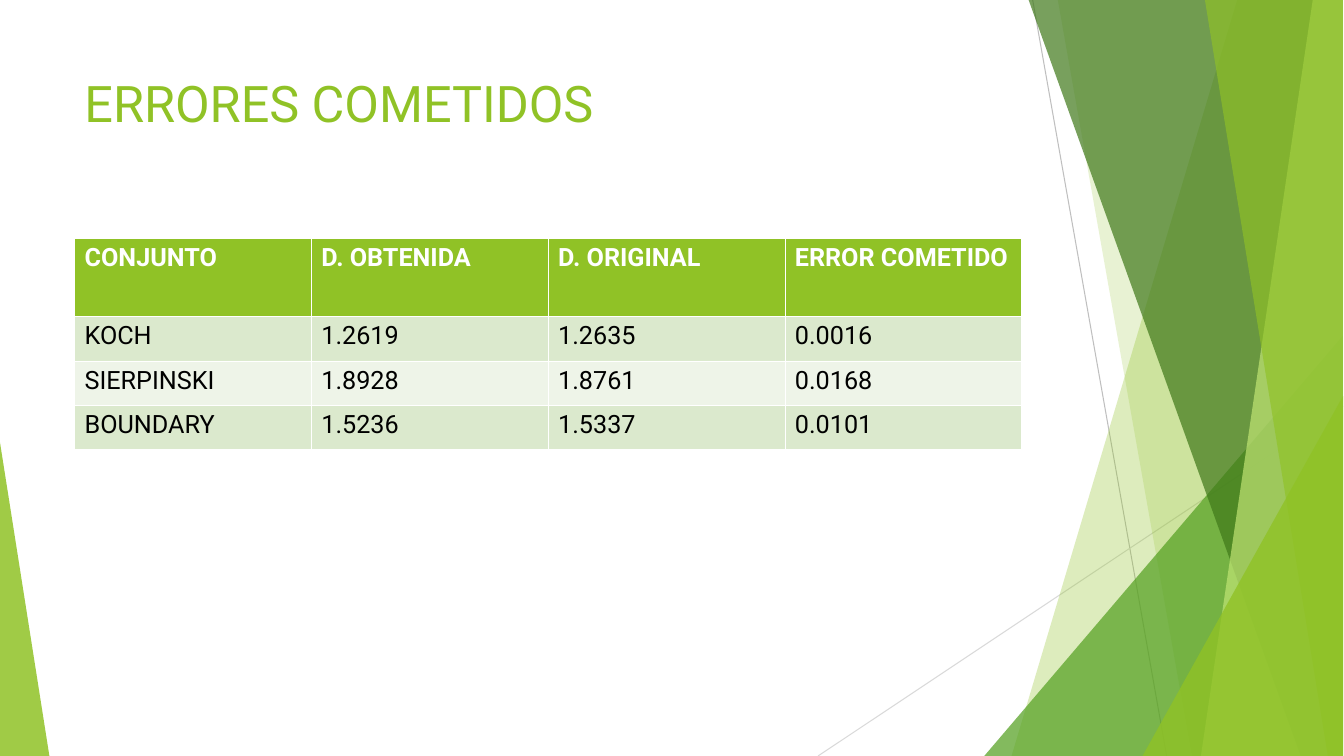
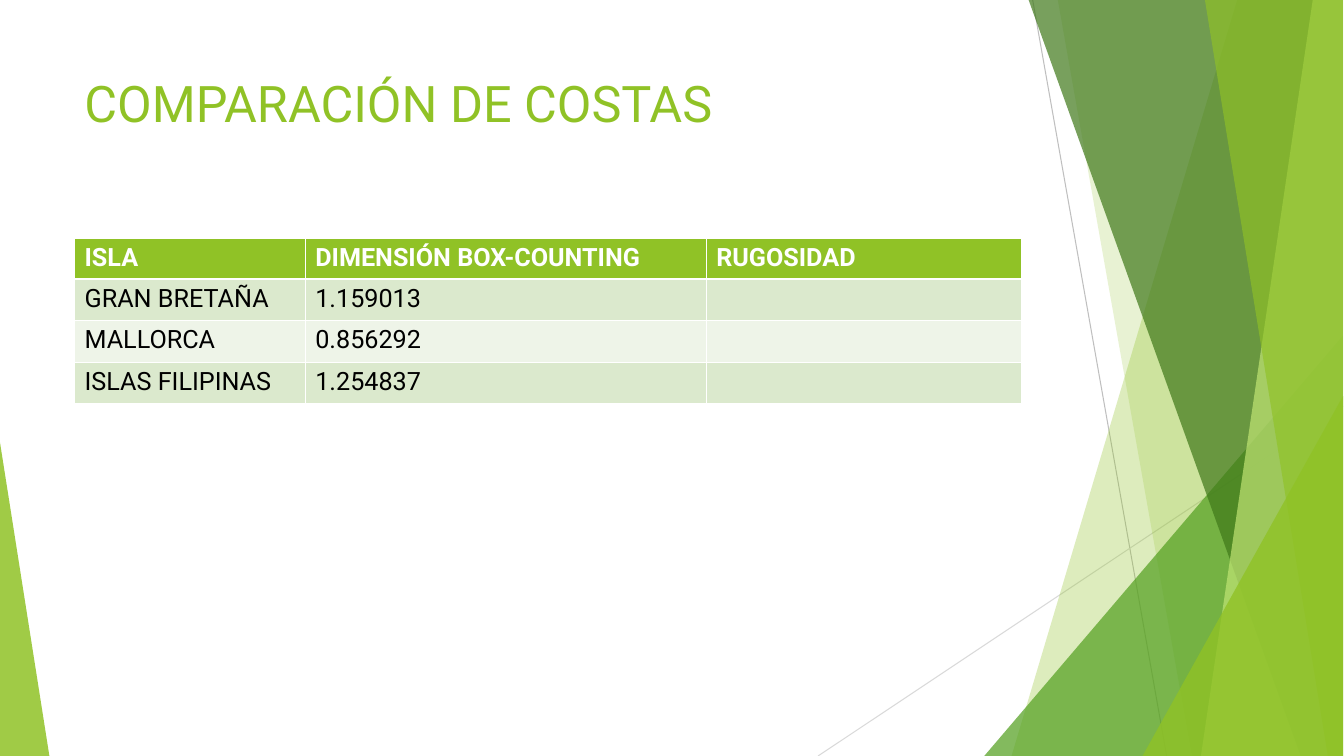
from dataclasses import dataclass

from pptx import Presentation
from pptx.dml.color import RGBColor
from pptx.enum.shapes import MSO_CONNECTOR, MSO_SHAPE
from pptx.oxml.ns import qn
from pptx.oxml.xmlchemy import OxmlElement
from pptx.util import Inches, Pt

STRAIGHT = MSO_CONNECTOR.STRAIGHT
TRIANGLE = MSO_SHAPE.ISOSCELES_TRIANGLE


@dataclass(frozen=True)
class Theme:
    font: str = "Roboto"
    title_size: int = 36
    table_size: int = 18
    green: str = "90C226"
    mid_green: str = "54A021"
    dark_green: str = "3F7819"
    light_green: str = "C0E474"
    odd_row: str = "DBE9CD"
    even_row: str = "EEF4E8"
    white: str = "FFFFFF"
    black: str = "000000"
    grid_line: float = 0.45
    header_line: float = 1.47


theme = Theme()

# Shared geometry, in inches
RIGHT, BOTTOM = 13.33, 7.5
LEFT, CONTENT_WIDTH = 0.74, 9.4
TITLE_TOP, TITLE_HEIGHT, TABLE_TOP = 0.67, 1.44, 2.36

# Thin lines: start, end, colour
THIN_LINES = [
    ((10.25, 0), (11.58, BOTTOM), "BFBFBF"),
    ((RIGHT, 4.03), (8.12, BOTTOM), "D9D9D9"),
]

# Facets from back to front. A band runs along the right edge and has a slanted
# left side (top x, bottom x); a triangle has a box and an apex position.
FACETS = [
    ("band", (12.28, 10.04), theme.green, 30),
    ("band", (10.5, 11.83), theme.green, 20),
    ("triangle", (9.77, 3.33, 3.56, 4.17, 1), theme.mid_green, 72),
    ("band", (10.21, 12.91), theme.dark_green, 70),
    ("band", (13.03, 11.92), theme.light_green, 70),
    ("band", (11.96, 13.18), theme.green, 65),
    ("triangle", (11.34, 3.93, 1.99, 3.57, 1), theme.green, 80),
    ("triangle", (0, 4.39, 0.49, 3.11, 0), theme.green, 85),
]

SLIDES = [
    {
        "title": "ERRORES COMETIDOS",
        "columns": [2.35] * 4,
        "heights": [0.78] + [0.44] * 3,
        "rows": [
            ["CONJUNTO", "D. OBTENIDA", "D. ORIGINAL", "ERROR COMETIDO"],
            ["KOCH", "1.2619", "1.2635", "0.0016"],
            ["SIERPINSKI", "1.8928", "1.8761", "0.0168"],
            ["BOUNDARY", "1.5236", "1.5337", "0.0101"],
        ],
    },
    {
        "title": "COMPARACIÓN DE COSTAS",
        "columns": [2.29, 3.98, 3.13],
        "heights": [0.41] * 4,
        "rows": [
            ["ISLA", "DIMENSIÓN BOX-COUNTING", "RUGOSIDAD"],
            ["GRAN BRETAÑA", "1.159013", ""],
            ["MALLORCA", "0.856292", ""],
            ["ISLAS FILIPINAS", "1.254837", ""],
        ],
    },
]


def add_run(paragraph, text, size, color, bold=False):
    run = paragraph.add_run()
    run.text = text
    run.font.name = theme.font
    run.font.size = Pt(size)
    run.font.bold = bold
    run.font.color.rgb = RGBColor.from_string(color)


def add_border(cell, side, width):
    line = OxmlElement(f"a:{side}")
    line.set("w", str(Pt(width)))
    fill = OxmlElement("a:solidFill")
    color = OxmlElement("a:srgbClr")
    color.set("val", theme.white)
    fill.append(color)
    line.append(fill)
    cell._tc.get_or_add_tcPr().append(line)


presentation = Presentation()
presentation.slide_width = Inches(13.34)
presentation.slide_height = Inches(BOTTOM)
blank_layout = presentation.slide_layouts[6]

for content in SLIDES:
    slide = presentation.slides.add_slide(blank_layout)

    # Thin lines behind the facets
    for start, end, color in THIN_LINES:
        x1, y1, x2, y2 = map(Inches, start + end)
        connector = slide.shapes.add_connector(STRAIGHT, x1, y1, x2, y2)
        connector.line.color.rgb = RGBColor.from_string(color)
        connector.line.width = Pt(0.75)
        connector.element.spPr.append(OxmlElement("a:effectLst"))

    # Transparent facets
    for kind, geometry, color, opacity in FACETS:
        if kind == "band":
            top_x, bottom_x = geometry
            outline = slide.shapes.build_freeform(Inches(top_x), 0)
            corners = [(RIGHT, 0), (RIGHT, BOTTOM), (bottom_x, BOTTOM)]
            outline.add_line_segments([(Inches(x), Inches(y)) for x, y in corners])
            shape = outline.convert_to_shape()
        else:
            *box, apex = geometry
            shape = slide.shapes.add_shape(TRIANGLE, *map(Inches, box))
            shape.adjustments[0] = apex
        shape.shadow.inherit = False
        shape.line.fill.background()
        shape.fill.solid()
        shape.fill.fore_color.rgb = RGBColor.from_string(color)
        alpha = OxmlElement("a:alpha")
        alpha.set("val", str(opacity * 1000))
        shape.element.spPr.find(qn("a:solidFill"))[0].append(alpha)

    # Title
    title = slide.shapes.add_textbox(
        Inches(LEFT), Inches(TITLE_TOP), Inches(CONTENT_WIDTH), Inches(TITLE_HEIGHT))
    title.text_frame.word_wrap = True
    add_run(title.text_frame.paragraphs[0], content["title"],
            theme.title_size, theme.green)

    # Table
    rows, columns, heights = content["rows"], content["columns"], content["heights"]
    table = slide.shapes.add_table(
        len(rows), len(columns), Inches(LEFT), Inches(TABLE_TOP),
        Inches(CONTENT_WIDTH), Inches(sum(heights))).table
    for column, width in zip(table.columns, columns):
        column.width = Inches(width)
    for row_index, texts in enumerate(rows):
        table.rows[row_index].height = Inches(heights[row_index])
        is_header = row_index == 0
        if is_header:
            fill_color, text_color = theme.green, theme.white
        else:
            fill_color = theme.odd_row if row_index % 2 else theme.even_row
            text_color = theme.black
        top_line = theme.header_line if row_index == 1 else theme.grid_line
        bottom_line = theme.header_line if is_header else theme.grid_line
        for column_index, text in enumerate(texts):
            cell = table.cell(row_index, column_index)
            add_border(cell, "lnL", theme.grid_line)
            add_border(cell, "lnR", theme.grid_line)
            add_border(cell, "lnT", top_line)
            add_border(cell, "lnB", bottom_line)
            cell.fill.solid()
            cell.fill.fore_color.rgb = RGBColor.from_string(fill_color)
            if text:
                add_run(cell.text_frame.paragraphs[0], text,
                        theme.table_size, text_color, is_header)

presentation.save("out.pptx")
